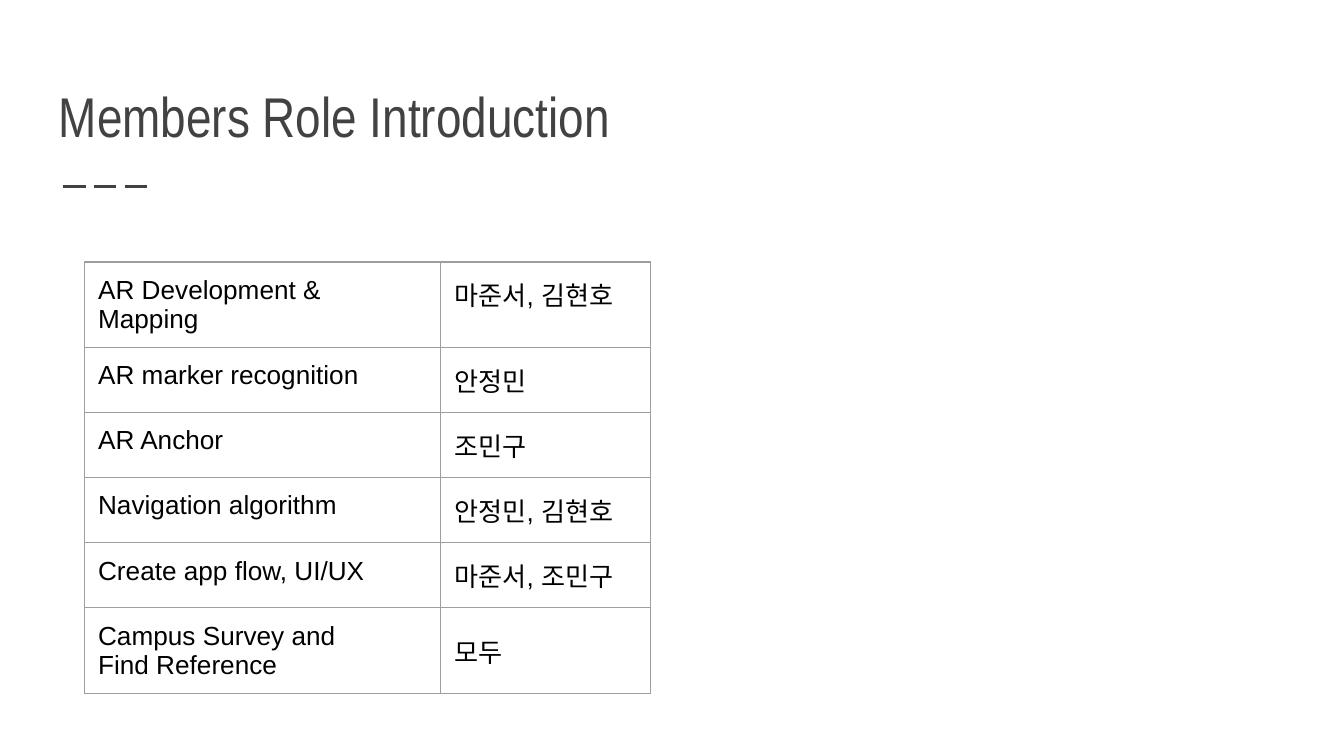
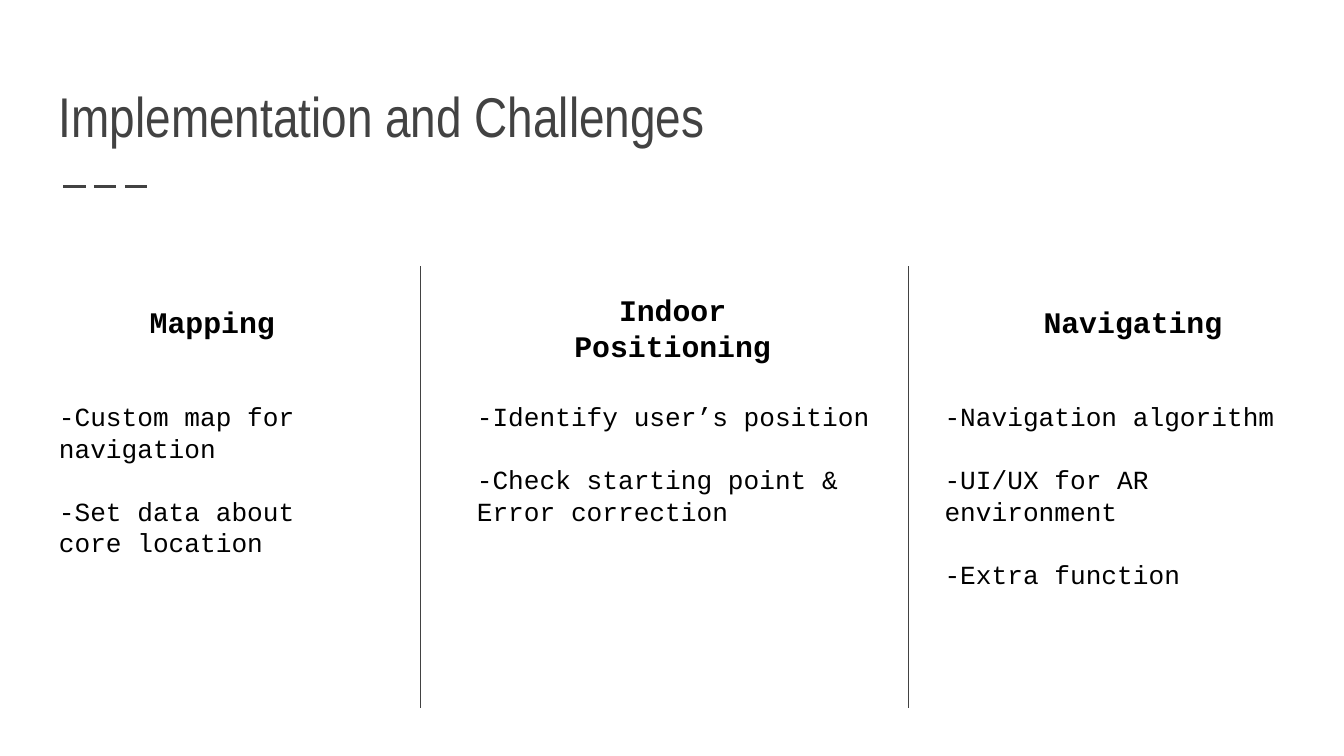
from lxml import etree
from pptx import Presentation
from pptx.dml.color import RGBColor as RGB
from pptx.enum.dml import MSO_LINE as DASH
from pptx.enum.shapes import MSO_CONNECTOR as CONN
from pptx.enum.text import MSO_ANCHOR as ANCHOR, MSO_AUTO_SIZE as FIT, PP_ALIGN as ALIGN
from pptx.oxml.ns import qn
from pptx.util import Inches, Pt

COLORS = {"ink": "424242", "text": "000000", "grid": "9E9E9E"}
SANS, NARROW, MONO = "Arial", "Arial Narrow", "Courier New"

ROLES = [
    ("AR Development & Mapping", "마준서, 김현호"),
    ("AR marker recognition", "안정민"),
    ("AR Anchor", "조민구"),
    ("Navigation algorithm", "안정민, 김현호"),
    ("Create app flow, UI/UX", "마준서, 조민구"),
    ("Campus Survey and\nFind Reference", "모두"),
]

TOPICS = [
    ("Mapping", (0.9, 2.16, 1.36, 0.47), (0.34, 2.88, 2.47, 1.62),
     ["-Custom map for navigation", "-Set data about core location"]),
    ("Indoor Positioning", (3.74, 2.07, 2.53, 0.74), (3.45, 2.88, 3.16, 1.14),
     ["-Identify user’s position", "-Check starting point & Error correction"]),
    ("Navigating", (7.63, 2.16, 1.6, 0.47), (6.93, 2.88, 2.76, 1.62),
     ["-Navigation algorithm", "-UI/UX for AR environment", "-Extra function"]),
]


def style_text(tf, font, size, color="text", bold=False, align=None, gap=0):
    tf.word_wrap = True
    for i, p in enumerate(tf.paragraphs):
        p.alignment = align
        if gap and i:
            p.space_before = Pt(gap)
        for r in p.runs:
            r.font.name = font
            r.font.size = Pt(size)
            r.font.bold = bold
            r.font.color.rgb = RGB.from_string(COLORS[color])


def add_text(s, box, text, font, size, anchor=ANCHOR.TOP, fit=FIT.SHAPE_TO_FIT_TEXT, **style):
    tf = s.shapes.add_textbox(*map(Inches, box)).text_frame
    tf.text = text
    tf.margin_left = tf.margin_right = tf.margin_top = tf.margin_bottom = Inches(0.1)
    tf.vertical_anchor = anchor
    tf.auto_size = fit
    style_text(tf, font, size, **style)


def add_line(s, x1, y1, x2, y2, width, dash=None):
    line = s.shapes.add_connector(CONN.STRAIGHT, *map(Inches, (x1, y1, x2, y2)))
    line.line.color.rgb = RGB.from_string(COLORS["ink"])
    line.line.width = Pt(width)
    if dash:
        line.line.dash_style = dash
    etree.SubElement(line._element.spPr, qn("a:effectLst"))


def add_titled_slide(prs, title):
    s = prs.slides.add_slide(prs.slide_layouts[6])
    add_line(s, 0.47, 1.39, 1.14, 1.39, 1.5, DASH.LONG_DASH)
    add_text(s, (0.34, 0.41, 9.32, 0.8), title, NARROW, 30,
             anchor=ANCHOR.BOTTOM, fit=FIT.NONE, color="ink")
    return s


def set_borders(cell):
    tcPr = cell._tc.get_or_add_tcPr()
    for i, side in enumerate(("lnL", "lnR", "lnT", "lnB")):
        ln = etree.Element(qn(f"a:{side}"), w=str(Pt(0.75)))
        fill = etree.SubElement(ln, qn("a:solidFill"))
        etree.SubElement(fill, qn("a:srgbClr"), val=COLORS["grid"])
        tcPr.insert(i, ln)


def add_role_table(s, left, top, widths, row_height):
    box = map(Inches, (left, top, sum(widths), row_height * len(ROLES)))
    table = s.shapes.add_table(len(ROLES), len(widths), *box).table
    table.first_row = table.horz_banding = False
    for col, width in zip(table.columns, widths):
        col.width = Inches(width)
    for row, texts in zip(table.rows, ROLES):
        row.height = Inches(row_height)
        for cell, text in zip(row.cells, texts):
            cell.text_frame.text = text
            cell.margin_left = cell.margin_top = cell.margin_bottom = Inches(0.1)
            cell.margin_right = Inches(0.13)
            cell.fill.background()
            style_text(cell.text_frame, SANS, 14)
            set_borders(cell)
    table.cell(len(ROLES) - 1, 1).vertical_anchor = ANCHOR.MIDDLE


def add_topic(s, heading, heading_box, body_box, points):
    add_text(s, heading_box, heading, MONO, 16, bold=True, align=ALIGN.CENTER)
    add_text(s, body_box, "\n".join(points), MONO, 14, gap=17)


def build_roles(prs):
    s = add_titled_slide(prs, "Members Role Introduction")
    add_role_table(s, 0.63, 1.95, (2.65, 1.56), 0.43)


def build_challenges(prs):
    s = add_titled_slide(prs, "Implementation and Challenges")
    for x in (3.13, 6.76):
        add_line(s, x, 1.98, x, 5.27, 0.75)
    for topic in TOPICS:
        add_topic(s, *topic)


def main():
    prs = Presentation()
    prs.slide_width = Inches(10)
    prs.slide_height = prs.slide_width * 9 // 16
    build_roles(prs)
    build_challenges(prs)
    prs.save("out.pptx")


if __name__ == "__main__":
    main()
